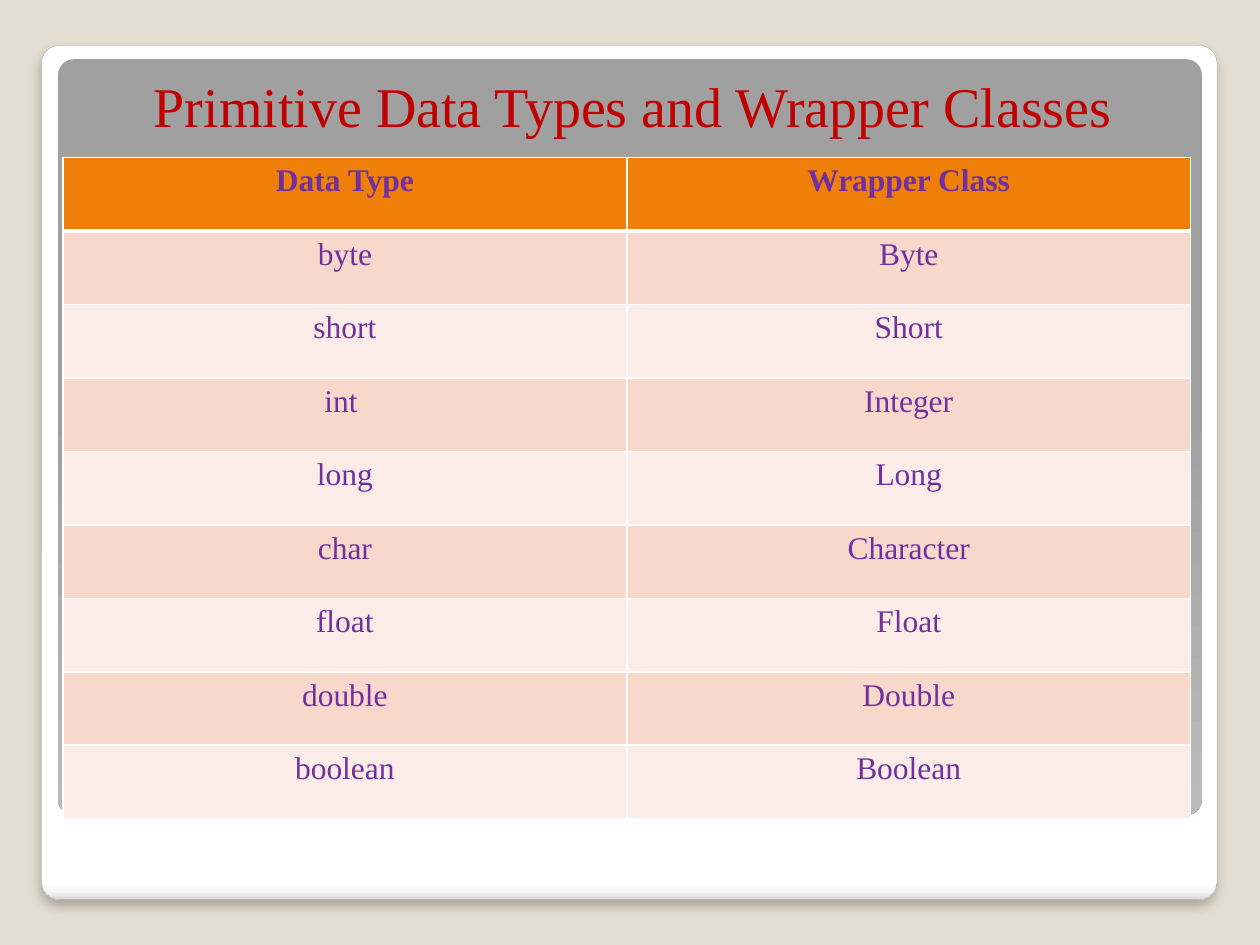
import dataclasses

import lxml.etree
import pptx
import pptx.dml.color
import pptx.enum.shapes
import pptx.enum.text
import pptx.oxml.ns
import pptx.util


@dataclasses.dataclass(frozen=True)
class Theme:
    font: str = "Times New Roman"
    title_size: int = 32
    body_size: int = 18
    background: str = "E3DED1"
    title: str = "C00000"
    text: str = "7030A0"
    header: str = "F07F09"
    bands: tuple = ("F9D8CC", "FCECE7")
    border: str = "FFFFFF"
    card_line: str = "A4A4A4"
    shadow: str = "000000"
    card: tuple = ((0, "FFFFFF"), (98, "FFFFFF"), (99, "F7F7F7"), (100, "DADADA"))
    panel: tuple = ((0, "A0A0A0"), (50, "A2A2A2"), (100, "BABABA"))


def rgb(color):
    return pptx.dml.color.RGBColor.from_string(color)


def add_node(parent, tag, **attributes):
    node = lxml.etree.SubElement(parent, pptx.oxml.ns.qn(tag))
    for name, value in attributes.items():
        node.set(name, str(value))
    return node


class SlideBuilder:
    columns = 100
    rows = 75

    def __init__(self, presentation, theme):
        self.theme = theme
        self.column = presentation.slide_width / self.columns
        self.row = presentation.slide_height / self.rows
        self.slide = presentation.slides.add_slide(presentation.slide_layouts[5])
        fill = self.slide.background.fill
        fill.solid()
        fill.fore_color.rgb = rgb(theme.background)

    def place(self, left, top, width, height):
        return (int(left * self.column), int(top * self.row),
                int(width * self.column), int(height * self.row))

    def set_text(self, text_frame, text, size, color, bold=False):
        text_frame.text = text
        paragraph = text_frame.paragraphs[0]
        paragraph.alignment = pptx.enum.text.PP_ALIGN.CENTER
        paragraph.font.name = self.theme.font
        paragraph.font.size = pptx.util.Pt(size)
        paragraph.font.bold = bold
        paragraph.font.color.rgb = rgb(color)

    def panel(self, area, stops, line=None, shadow=False):
        shape = self.slide.shapes.add_shape(
            pptx.enum.shapes.MSO_SHAPE.ROUNDED_RECTANGLE, *self.place(*area))
        shape.adjustments[0] = 0.021
        shape.fill.gradient()
        shape.fill.gradient_angle = 270
        properties = shape.element.spPr
        stop_list = properties.find(".//" + pptx.oxml.ns.qn("a:gsLst"))
        for stop in list(stop_list):
            stop_list.remove(stop)
        for position, color in stops:
            stop = add_node(stop_list, "a:gs", pos=position * 1000)
            add_node(stop, "a:srgbClr", val=color)
        if line:
            shape.line.color.rgb = rgb(line)
            shape.line.width = pptx.util.Pt(0.16)
        else:
            shape.line.fill.background()
        shape.shadow.inherit = False
        if shadow:
            effects = properties.find(pptx.oxml.ns.qn("a:effectLst"))
            outer = add_node(effects, "a:outerShdw", blurRad=pptx.util.Pt(6),
                             dist=pptx.util.Pt(4), dir=90 * 60000, rotWithShape=0)
            color = add_node(outer, "a:srgbClr", val=self.theme.shadow)
            add_node(color, "a:alpha", val=25000)

    def title(self, area, text):
        title = self.slide.shapes.title
        title.left, title.top, title.width, title.height = self.place(*area)
        self.set_text(title.text_frame, text, self.theme.title_size, self.theme.title)
        title.text_frame.vertical_anchor = pptx.enum.text.MSO_ANCHOR.BOTTOM
        title.text_frame.auto_size = pptx.enum.text.MSO_AUTO_SIZE.NONE
        self.slide.shapes.element.append(title.element)

    def borders(self, cell, widths):
        properties = cell._tc.get_or_add_tcPr()
        for side, width in widths.items():
            line = add_node(properties, f"a:ln{side}", w=pptx.util.Pt(width))
            add_node(add_node(line, "a:solidFill"), "a:srgbClr", val=self.theme.border)

    def table(self, area, records):
        theme = self.theme
        table = self.slide.shapes.add_table(
            len(records), len(records[0]), *self.place(*area)).table
        table.first_row = False
        table.horz_banding = False
        for row_number, record in enumerate(records):
            is_header = row_number == 0
            fill = theme.header if is_header else theme.bands[(row_number - 1) % 2]
            widths = {"L": 1, "R": 1, "T": 3 if row_number == 1 else 1,
                      "B": 3 if is_header else 1}
            for column_number, text in enumerate(record):
                cell = table.cell(row_number, column_number)
                self.set_text(cell.text_frame, text, theme.body_size, theme.text, is_header)
                self.borders(cell, widths)
                cell.fill.solid()
                cell.fill.fore_color.rgb = rgb(fill)


def main():
    presentation = pptx.Presentation()
    presentation.slide_width = pptx.util.Inches(10)
    presentation.slide_height = pptx.util.Inches(7.5)
    theme = Theme()
    builder = SlideBuilder(presentation, theme)
    builder.panel((3.3, 3.6, 93.3, 67.8), theme.card, theme.card_line, shadow=True)
    builder.panel((4.6, 4.7, 90.8, 60), theme.panel)
    builder.title((5.5, 0, 89.5, 11.5), "Primitive Data Types and Wrapper Classes")
    builder.table((5, 12.5, 89.5, 52.5), [
        ("Data Type", "Wrapper Class"),
        ("byte", "Byte"),
        ("short", "Short"),
        ("int ", "Integer"),
        ("long", "Long"),
        ("char", "Character"),
        ("float", "Float"),
        ("double", "Double"),
        ("boolean", "Boolean"),
    ])
    presentation.save("out.pptx")


if __name__ == "__main__":
    main()
